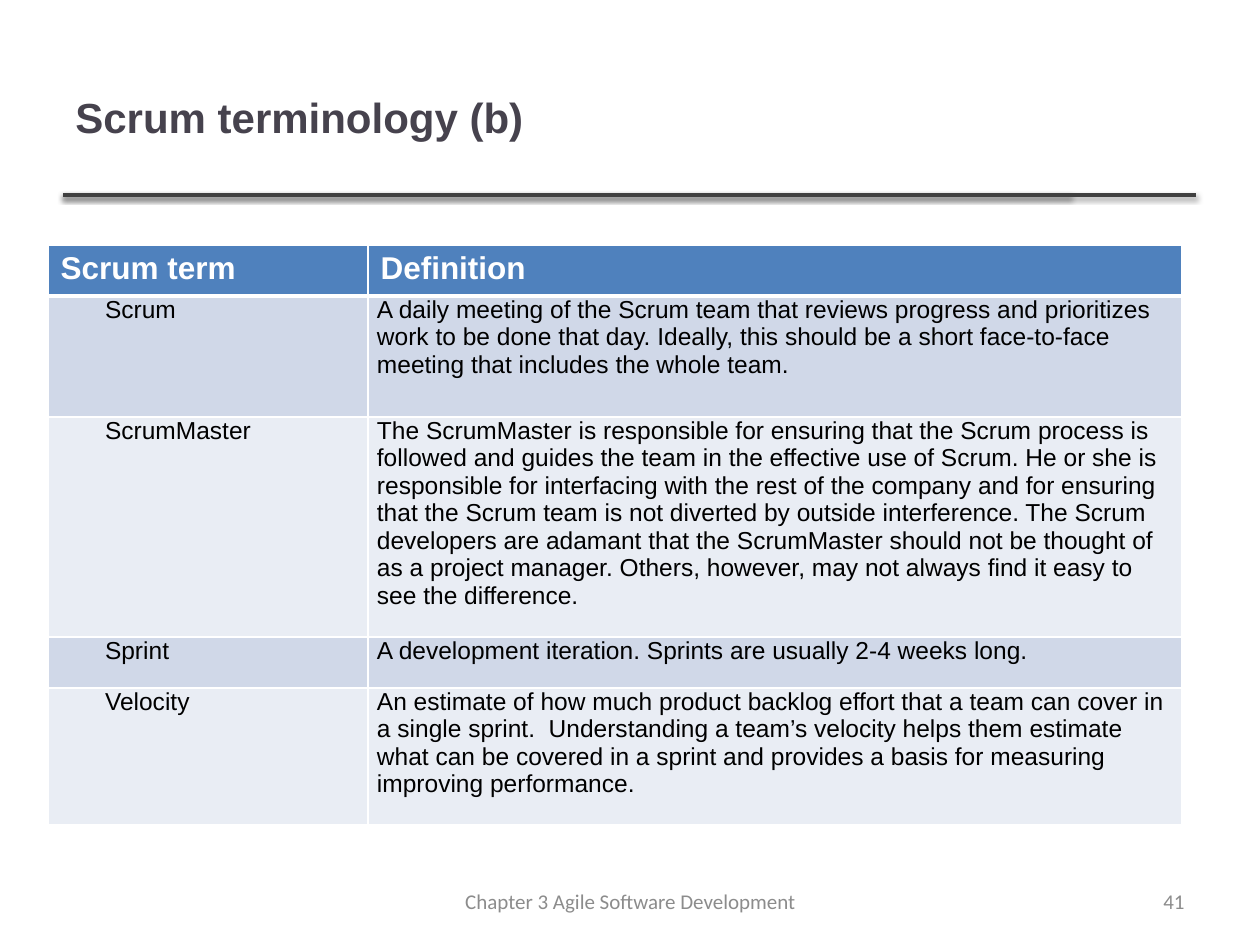
"""Build the Scrum terms slide."""
import pptx
import pptx.dml.color
import pptx.enum.shapes
import pptx.enum.text
import pptx.oxml
import pptx.oxml.ns
import pptx.util

RGB = pptx.dml.color.RGBColor
ALIGN = pptx.enum.text.PP_ALIGN
MIDDLE = pptx.enum.text.MSO_ANCHOR.MIDDLE
SPACE = pptx.oxml.ns.nsdecls("a")

WHITE = RGB(0xFF, 0xFF, 0xFF)
BLACK = RGB(0, 0, 0)
BLUE = RGB(0x4F, 0x81, 0xBD)
BANDS = (RGB(0xD0, 0xD8, 0xE8), RGB(0xE9, 0xED, 0xF4))
INK = RGB(0x46, 0x42, 0x4D)
DARK = RGB(0x40, 0x40, 0x40)
GREY = RGB(0x8C, 0x8C, 0x8C)

SHADOW = (f'<a:effectLst {SPACE}><a:outerShdw blurRad="39400" dist="20300" dir="5400000" rotWithShape="0">'
          '<a:srgbClr val="000000"><a:alpha val="38000"/></a:srgbClr></a:outerShdw></a:effectLst>')

HEAD = ("Scrum term", "Definition")
TERMS = (
    ("Scrum",
     "A daily meeting of the Scrum team that reviews progress and prioritizes work to be done that day. "
     "Ideally, this should be a short face-to-face meeting that includes the whole team."),
    ("ScrumMaster",
     "The ScrumMaster is responsible for ensuring that the Scrum process is followed and guides the team in "
     "the effective use of Scrum. He or she is responsible for interfacing with the rest of the company and "
     "for ensuring that the Scrum team is not diverted by outside interference. The Scrum developers are "
     "adamant that the ScrumMaster should not be thought of as a project manager. Others, however, may not "
     "always find it easy to see the difference."),
    ("Sprint", "A development iteration. Sprints are usually 2-4 weeks long."),
    ("Velocity",
     "An estimate of how much product backlog effort that a team can cover in a single sprint.  "
     "Understanding a team’s velocity helps them estimate what can be covered in a sprint and provides a "
     "basis for measuring improving performance."),
)


def px(count):
    """Turn px into EMU."""
    return pptx.util.Emu(round(count * 914400 / 126))


def write(frame, text, font="Arial", size=14, color=BLACK, bold=False, align=ALIGN.LEFT, indent=0, after=0):
    """Put one formatted paragraph in a text frame."""
    frame.word_wrap = True
    para = frame.paragraphs[0]
    para.alignment = align
    para.space_after = pptx.util.Pt(after)
    if indent:
        props = para._p.get_or_add_pPr()
        props.set("marL", "0")
        props.set("indent", str(px(indent)))
    run = para.add_run()
    run.text = text
    run.font.name = font
    run.font.size = pptx.util.Pt(size)
    run.font.bold = bold
    run.font.color.rgb = color


class Deck:
    """Hold the style and the current slide."""

    def __init__(self):
        """Start a deck with one blank slide."""
        self.file = pptx.Presentation()
        self.file.slide_width, self.file.slide_height = px(1260), px(945)
        self.slide = self.file.slides.add_slide(self.file.slide_layouts[6])

    def text(self, box, text, **style):
        """Add a text box centred in height."""
        frame = self.slide.shapes.add_textbox(*map(px, box)).text_frame
        write(frame, text, **style)
        frame.vertical_anchor = MIDDLE

    def rule(self, left, right, top):
        """Add a level line with a soft shadow."""
        kind = pptx.enum.shapes.MSO_CONNECTOR.STRAIGHT
        line = self.slide.shapes.add_connector(kind, px(left), px(top), px(right), px(top))
        line.line.color.rgb = DARK
        line.line.width = pptx.util.Pt(2)
        line._element.spPr.append(pptx.oxml.parse_xml(SHADOW))

    def cell(self, cell, fill, top=1, base=1):
        """Give a cell its borders and fill."""
        props = cell._tc.get_or_add_tcPr()
        for side, width in zip("LRTB", (1, 1, top, base)):
            props.append(pptx.oxml.parse_xml(
                f'<a:ln{side} {SPACE} w="{pptx.util.Pt(width)}"><a:solidFill>'
                f'<a:srgbClr val="{WHITE}"/></a:solidFill></a:ln{side}>'))
        cell.fill.solid()
        cell.fill.fore_color.rgb = fill

    def table(self, left, top, widths, heights, head, rows):
        """Add a table with a head row and banded rows."""
        shape = self.slide.shapes.add_table(
            len(heights), len(widths), px(left), px(top), px(sum(widths)), px(sum(heights)))
        grid = shape.table
        for col, width in zip(grid.columns, widths):
            col.width = px(width)
        for row, height in zip(grid.rows, heights):
            row.height = px(height)
        for col, name in enumerate(head):
            cell = grid.cell(0, col)
            write(cell.text_frame, name, size=18, color=WHITE, bold=True)
            self.cell(cell, BLUE, base=3)
        for row, words in enumerate(rows, 1):
            for col, text in enumerate(words):
                cell = grid.cell(row, col)
                cell.margin_left = cell.margin_right = px(9)
                cell.margin_top = cell.margin_bottom = 0
                write(cell.text_frame, text, indent=0 if col else 48, after=6 if row == 1 else 0)
                self.cell(cell, BANDS[(row - 1) % 2], top=3 if row == 1 else 1)


def main():
    """Draw the slide and save it."""
    deck = Deck()
    for right in (1070, 1196):
        deck.rule(63, right, 195)
    deck.text((63, 38, 1005, 157), "Scrum terminology (b)", size=24, color=INK, bold=True)
    deck.table(48, 245, (320, 814), (51, 121, 220, 51, 137), HEAD, TERMS)
    foot = dict(font="Calibri", size=12, color=GREY)
    deck.text((431, 876, 399, 50), "Chapter 3 Agile Software Development", align=ALIGN.CENTER, **foot)
    deck.text((903, 876, 294, 50), "41", align=ALIGN.RIGHT, **foot)
    deck.file.save("out.pptx")


if __name__ == "__main__":
    main()
